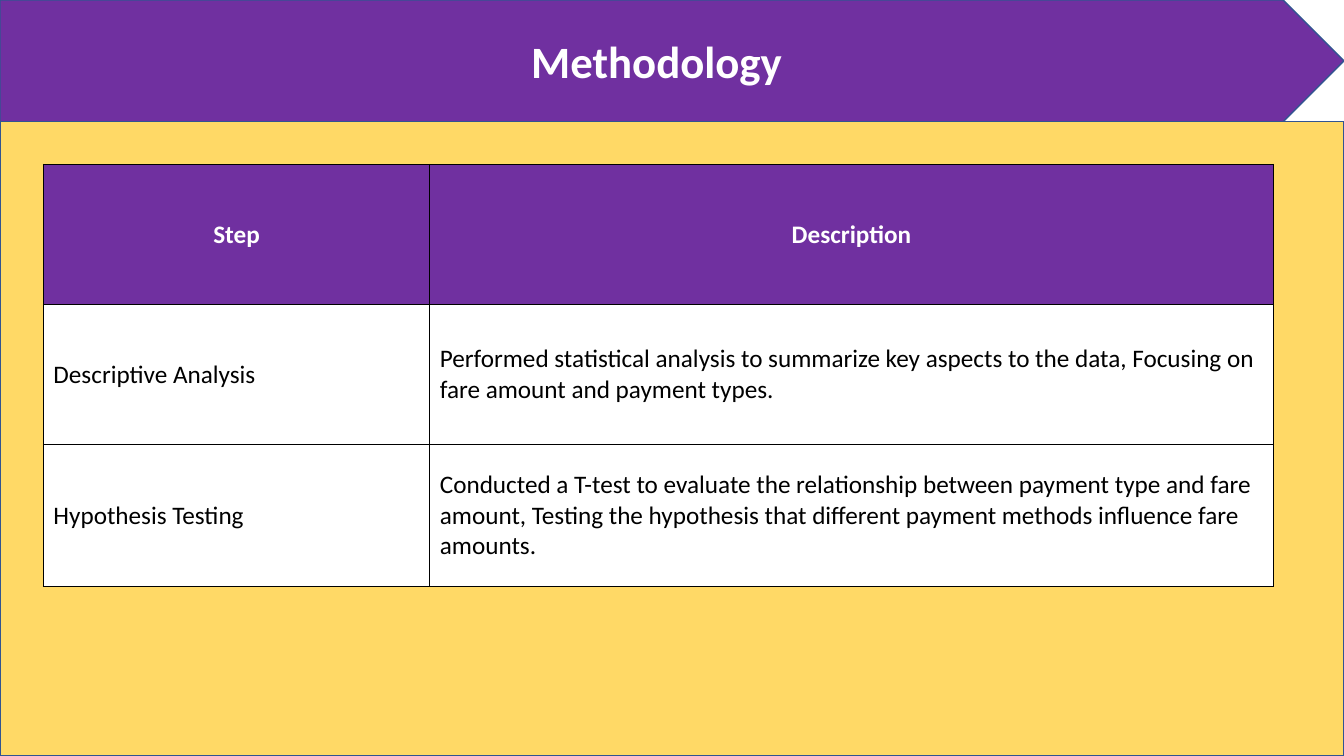
import pptx
import pptx.dml.color
import pptx.enum.shapes
import pptx.enum.text
import pptx.oxml
import pptx.oxml.ns
import pptx.util

Pt = pptx.util.Pt
RGB = pptx.dml.color.RGBColor.from_string
SHAPE = pptx.enum.shapes.MSO_SHAPE
ALIGN = pptx.enum.text.PP_ALIGN
MIDDLE = pptx.enum.text.MSO_ANCHOR.MIDDLE

COLORS = {"purple": "7030A0", "yellow": "FFD966", "outline": "325491",
          "white": "FFFFFF", "black": "000000"}
TITLE_FONT = {"name": "Calibri", "size": Pt(32), "bold": True}
HEADER_FONT = {"name": "Calibri", "size": Pt(18), "bold": True}
BODY_FONT = {**HEADER_FONT, "bold": False}

STEPS = [
    ("Step", "Description"),
    ("Descriptive Analysis",
     "Performed statistical analysis to summarize key aspects to the data, "
     "Focusing on fare amount and payment types."),
    ("Hypothesis Testing",
     "Conducted a T-test to evaluate the relationship between payment type "
     "and fare amount, Testing the hypothesis that different payment methods "
     "influence fare amounts."),
]


def write(tf, text, font, color, align):
    p = tf.paragraphs[0]
    p.alignment = align
    r = p.add_run()
    r.text = text
    for name, value in font.items():
        setattr(r.font, name, value)
    r.font.color.rgb = RGB(COLORS[color])


def add_panel(slide, kind, box, fill):
    sp = slide.shapes.add_shape(kind, *map(Pt, box))
    sp.shadow.inherit = False
    sp.fill.solid()
    sp.fill.fore_color.rgb = RGB(COLORS[fill])
    sp.line.color.rgb = RGB(COLORS["outline"])
    sp.line.width = Pt(1)


def add_title_band(slide, box, text):
    x, y, w, h = box
    add_panel(slide, SHAPE.PENTAGON, box, "purple")
    # The title is centred on the band without half of its arrow tip
    sp = slide.shapes.title
    sp.left, sp.top, sp.width, sp.height = map(Pt, (x, y, w - h / 4, h))
    tf = sp.text_frame
    tf.vertical_anchor = MIDDLE
    write(tf, text, TITLE_FONT, "white", ALIGN.CENTER)
    slide.shapes._spTree.append(sp._element)  # bring in front of the band


def add_borders(cell):
    tcPr = cell._tc.get_or_add_tcPr()
    for side in "LRTB":
        tcPr.append(pptx.oxml.parse_xml(
            f'<a:ln{side} {pptx.oxml.ns.nsdecls("a")} w="{Pt(1)}"><a:solidFill>'
            f'<a:srgbClr val="{COLORS["black"]}"/></a:solidFill></a:ln{side}>'))


def add_steps_table(slide, box, col_widths, row_heights):
    table = slide.shapes.add_table(len(STEPS), len(col_widths), *map(Pt, box)).table
    for column, width in zip(table.columns, col_widths):
        column.width = Pt(width)
    for i, (row, height, texts) in enumerate(zip(table.rows, row_heights, STEPS)):
        row.height = Pt(height)
        header = i == 0
        for cell, text in zip(row.cells, texts):
            add_borders(cell)
            cell.fill.solid()
            cell.fill.fore_color.rgb = RGB(COLORS["purple" if header else "white"])
            cell.vertical_anchor = MIDDLE
            write(cell.text_frame, text,
                  HEADER_FONT if header else BODY_FONT,
                  "white" if header else "black",
                  ALIGN.CENTER if header else ALIGN.LEFT)


def methodology_slide(prs, box):
    x, y, w, h = box
    band = 87
    slide = prs.slides.add_slide(prs.slide_layouts[5])
    # Title band
    add_title_band(slide, (x, y, w, band), "Methodology")
    # Body background
    add_panel(slide, SHAPE.RECTANGLE, (x, y + band, w, h - band), "yellow")
    # Table of steps
    add_steps_table(slide, (x + 31, y + band + 30.5, 878.5, 301.5),
                    (276, 602.5), (100, 100, 101.5))


def main():
    prs = pptx.Presentation()
    prs.slide_width, prs.slide_height = Pt(960), Pt(540)
    methodology_slide(prs, (0, 0, 960, 540))
    prs.save("out.pptx")


if __name__ == "__main__":
    main()
